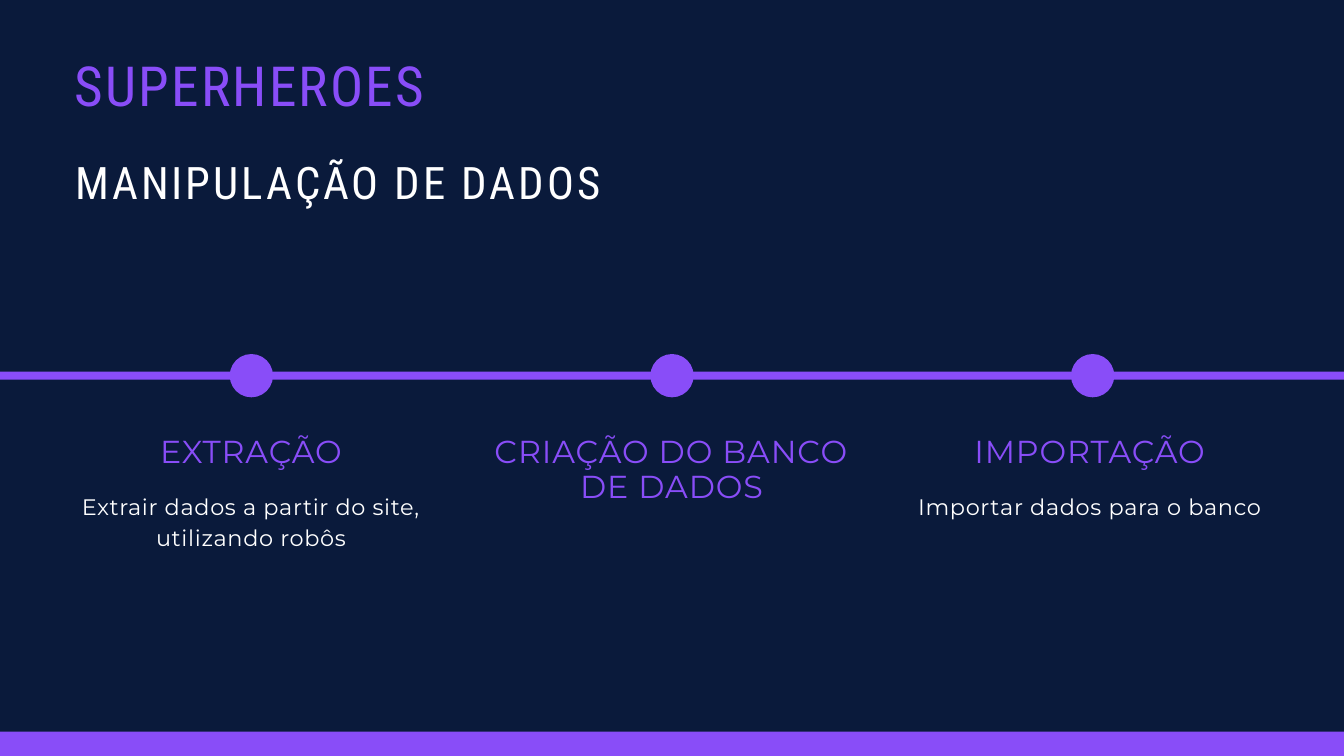
"""Build the data handling timeline slide."""
import pptx
import pptx.dml.color
import pptx.enum.shapes
import pptx.enum.text
import pptx.util

Pt = pptx.util.Pt
Shape = pptx.enum.shapes.MSO_SHAPE
Align = pptx.enum.text.PP_ALIGN

WIDTH, HEIGHT = 1440, 810

THEME = {
    "background": "0A1A3B",
    "accent": "894DF8",
    "title": {"font": "Roboto Condensed", "size": 59.2, "color": "894DF8", "leading": 65.2, "tracking": 2.4},
    "subtitle": {"font": "Roboto Condensed", "size": 48, "color": "FFFFFF", "leading": 55.2, "tracking": 3.2},
    "stage": {"font": "Montserrat", "size": 34, "color": "894DF8", "leading": 37.4, "tracking": 1},
    "detail": {"font": "Montserrat", "size": 24, "color": "FFFFFF", "leading": 33.6, "tracking": 0.7},
}

HEADINGS = [
    ("title", "SUPERHEROES", (80, 60.5, 881, 67)),
    ("subtitle", "MANIPULAÇÃO DE DADOS", (80.6, 168.5, 720, 56)),
]

STAGES = [
    {"name": "EXTRAÇÃO", "detail": "Extrair dados a partir do site, utilizando robôs", "text_center": 269},
    {"name": "CRIAÇÃO DO BANCO DE DADOS", "detail": None, "text_center": 719.6},
    {"name": "IMPORTAÇÃO", "detail": "Importar dados para o banco", "text_center": 1167.6},
]

FOOTER = (-42, 784, 1524, 55.4)
LINE_CENTER, LINE_WEIGHT, LINE_BLEED = 402.5, 8.64, 50
DOT_SIZE, DOT_STEP = 46.4, 450.7
STAGE_WIDTH, STAGE_TOP, DETAIL_TOP = 382.5, 466.5, 523.5


def rgb(color):
    return pptx.dml.color.RGBColor.from_string(color)


def add_solid(slide, kind, box):
    solid = slide.shapes.add_shape(kind, *map(Pt, box))
    solid.shadow.inherit = False
    solid.fill.solid()
    solid.fill.fore_color.rgb = rgb(THEME["accent"])
    solid.line.fill.background()


def add_text(slide, role, text, box, align=Align.LEFT):
    style = THEME[role]
    frame = slide.shapes.add_textbox(*map(Pt, box)).text_frame
    frame.word_wrap = True
    frame.margin_left = frame.margin_right = frame.margin_top = frame.margin_bottom = 0
    paragraph = frame.paragraphs[0]
    paragraph.alignment = align
    paragraph.line_spacing = Pt(style["leading"])
    paragraph.font.name = style["font"]
    paragraph.font.size = Pt(style["size"])
    paragraph.font.color.rgb = rgb(style["color"])
    run = paragraph.add_run()
    run.text = text
    run.font._element.set("spc", str(round(style["tracking"] * 100)))


def add_stage(slide, index, stage):
    dot_center = WIDTH / 2 + (index - (len(STAGES) - 1) / 2) * DOT_STEP
    add_solid(slide, Shape.OVAL,
              (dot_center - DOT_SIZE / 2, LINE_CENTER - DOT_SIZE / 2, DOT_SIZE, DOT_SIZE))
    left = stage["text_center"] - STAGE_WIDTH / 2
    name_lines = 1 if stage["detail"] else 2
    add_text(slide, "stage", stage["name"],
             (left, STAGE_TOP, STAGE_WIDTH, name_lines * THEME["stage"]["leading"]), Align.CENTER)
    if stage["detail"]:
        detail_lines = 1 + (len(stage["detail"]) > 30)
        add_text(slide, "detail", stage["detail"],
                 (left, DETAIL_TOP, STAGE_WIDTH, detail_lines * THEME["detail"]["leading"]), Align.CENTER)


def main():
    deck = pptx.Presentation()
    deck.slide_width, deck.slide_height = Pt(WIDTH), Pt(HEIGHT)
    slide = deck.slides.add_slide(deck.slide_layouts[6])
    slide.background.fill.solid()
    slide.background.fill.fore_color.rgb = rgb(THEME["background"])
    add_solid(slide, Shape.RECTANGLE, FOOTER)
    add_solid(slide, Shape.RECTANGLE,
              (-LINE_BLEED, LINE_CENTER - LINE_WEIGHT / 2, WIDTH + 2 * LINE_BLEED, LINE_WEIGHT))
    for role, text, box in HEADINGS:
        add_text(slide, role, text, box)
    for index, stage in enumerate(STAGES):
        add_stage(slide, index, stage)
    deck.save("out.pptx")


if __name__ == "__main__":
    main()
